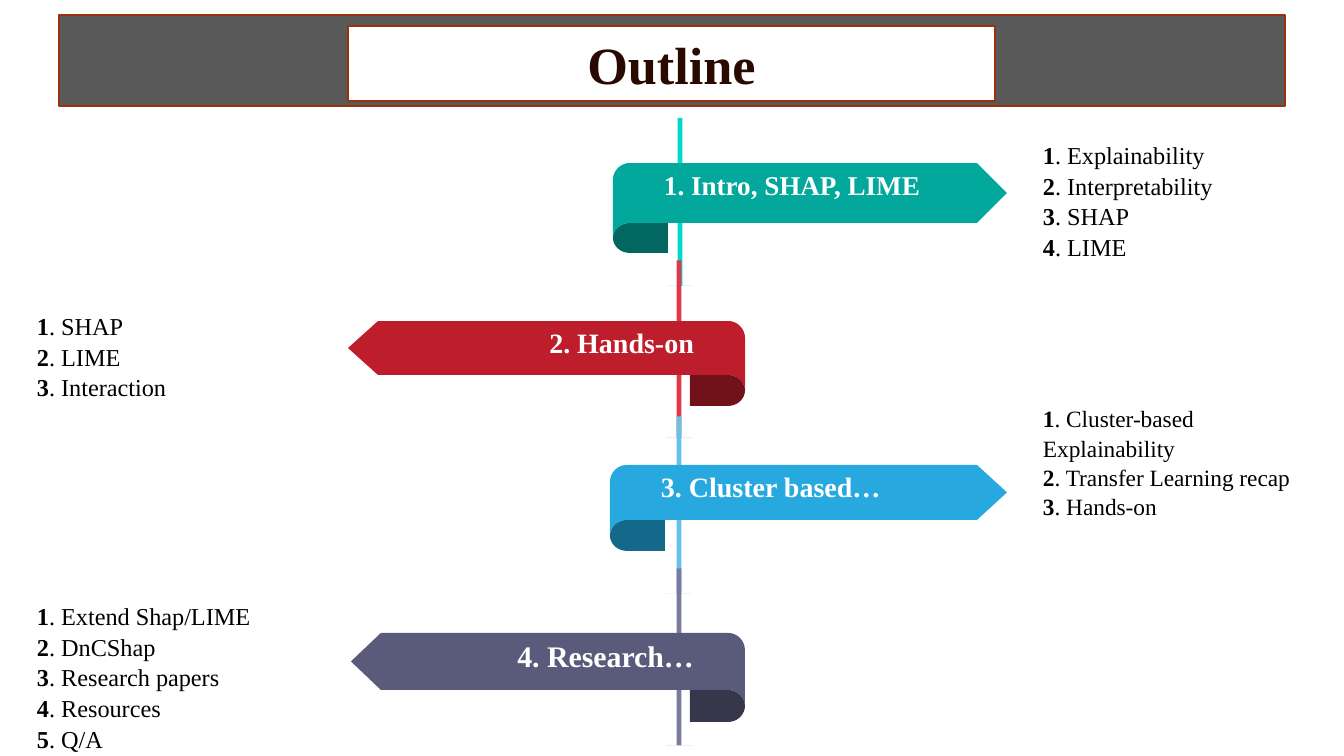
from math import cos, radians, sin

from pptx import Presentation
from pptx.dml.color import RGBColor
from pptx.enum.shapes import MSO_SHAPE
from pptx.enum.text import MSO_ANCHOR, MSO_AUTO_SIZE, PP_ALIGN
from pptx.util import Pt

PX = 914400 / 134.4
FONT = "Times New Roman"
WHITE = RGBColor(0xFF, 0xFF, 0xFF)
BLACK = RGBColor(0, 0, 0)
GREY = RGBColor(0x59, 0x59, 0x59)
RUST = RGBColor(0x9B, 0x32, 0x0E)
BROWN = RGBColor(0x2A, 0x0A, 0x00)
TEAL = [RGBColor.from_string(c) for c in ("01D9CA", "01A89B", "016760")]
RED = [RGBColor.from_string(c) for c in ("E03848", "BE1D2C", "71111A")]
BLUE = [RGBColor.from_string(c) for c in ("65C3E9", "27A9E0", "14688A")]
SLATE = [RGBColor.from_string(c) for c in ("7A7A9E", "5A5A7B", "37374B")]

TITLE = "Outline"
# ribbon: folded edge x, tip x, top, band bottom, fold bottom
# spine: centre x, centre y, length; notes: left, top, height, font size
PARTS = [
    dict(label="1. Intro, SHAP, LIME", size=14.5, hues=TEAL,
         ribbon=(613, 1007, 163, 223, 253), spine=(680, 202, 168),
         notes=(1030, 126, 145, 13),
         items=["Explainability", "Interpretability", "SHAP", "LIME"]),
    dict(label="2. Hands-on", size=15, hues=RED,
         ribbon=(745, 348, 321, 375, 406), spine=(679, 349, 177),
         notes=(24, 297, 115, 13),
         items=["SHAP", "LIME", "Interaction"]),
    dict(label="3. Cluster based…", size=15, hues=BLUE,
         ribbon=(610, 1007, 465, 520, 551), spine=(679, 505, 177),
         notes=(1030, 390, 168, 12.5),
         items=["Cluster-based Explainability", "Transfer Learning recap",
                "Hands-on"]),
    dict(label="4. Research…", size=16, hues=SLATE,
         ribbon=(745, 351, 633, 690, 722), spine=(679, 657, 177),
         notes=(24, 587, 174, 13),
         items=["Extend Shap/LIME", "DnCShap", "Research papers",
                "Resources", "Q/A"]),
]
HEAD, FOLD, ROUND = 30, 55, 17
THICK, NOTE_W = 26, 314


def px(*nums):
    return [round(n * PX) for n in nums]


def paint(shape, fill, line=None):
    shape.shadow.inherit = False
    shape.fill.solid()
    shape.fill.fore_color.rgb = fill
    if line is None:
        shape.line.fill.background()
    else:
        shape.line.color.rgb = line
        shape.line.width = Pt(1)


def write(shape, paras, size, color, align=PP_ALIGN.LEFT,
          anchor=MSO_ANCHOR.TOP, pad=(13, 13, 13, 13), space=1.0):
    """Fill a shape with paragraphs, each a list of (text, bold) runs."""
    frame = shape.text_frame
    frame.word_wrap = True
    frame.auto_size = MSO_AUTO_SIZE.NONE
    frame.vertical_anchor = anchor
    (frame.margin_left, frame.margin_top,
     frame.margin_right, frame.margin_bottom) = px(*pad)
    for i, runs in enumerate(paras):
        para = frame.add_paragraph() if i else frame.paragraphs[0]
        para.alignment = align
        para.line_spacing = space
        for text, bold in runs:
            run = para.add_run()
            run.text = text
            font = run.font
            font.name, font.size, font.bold = FONT, Pt(size), bold
            font.color.rgb = color


def arc(x, y, high, start, end):
    """Points on an ellipse, angles in degrees, counter-clockwise from east."""
    return [(x + ROUND * cos(radians(a)), y - high * sin(radians(a)))
            for a in range(start, end, 10 if end > start else -10)]


def outline(shapes, edge, way, points, fill):
    """Draw a closed outline, measured from the folded edge towards the tip."""
    spots = [px(edge + way * x, y) for x, y in points]
    pen = shapes.build_freeform(*spots[0])
    pen.add_line_segments(spots[1:], close=True)
    shape = pen.convert_to_shape()
    paint(shape, fill)
    return shape


def draw(shapes, part):
    light, main, dark = part["hues"]
    x, y, long = part["spine"]
    spine = shapes.add_shape(MSO_SHAPE.NOTCHED_RIGHT_ARROW,
                             *px(x - long / 2, y - THICK / 2, long, THICK))
    spine.rotation = 90
    spine.adjustments[0], spine.adjustments[1] = 0.183, 0
    paint(spine, light)

    edge, tip, top, base, low = part["ribbon"]
    way = 1 if tip > edge else -1
    wide, half = abs(tip - edge), (low - base) / 2
    mid = base + half
    outline(shapes, edge, way,
            [(FOLD, base), (FOLD, low)] + arc(ROUND, mid, half, 270, 80), dark)
    band = outline(
        shapes, edge, way,
        [(wide - HEAD, top), (wide, (top + base) / 2), (wide - HEAD, base)]
        + arc(ROUND, mid, half, 90, 190)
        + arc(ROUND, top + ROUND, ROUND, 180, 80), main)
    right = way > 0
    write(band, [[(part["label"], True)]], part["size"], WHITE,
          align=PP_ALIGN.LEFT if right else PP_ALIGN.RIGHT,
          pad=(51, 5, 30, 5) if right else (30, 5, 51, 5))


def note(shapes, part):
    left, top, high, size = part["notes"]
    box = shapes.add_textbox(*px(left, top, NOTE_W, high))
    paras = [[(str(n), True), (f". {item}", False)]
             for n, item in enumerate(part["items"], 1)]
    write(box, paras, size, BLACK, space=1.05)


def main():
    deck = Presentation()
    deck.slide_width, deck.slide_height = px(1344, 756)
    slide = deck.slides.add_slide(deck.slide_layouts[5])
    shapes = slide.shapes
    for part in PARTS:
        draw(shapes, part)
    for part in PARTS:
        note(shapes, part)

    bar = shapes.add_shape(MSO_SHAPE.RECTANGLE, *px(59, 15, 1226, 91))
    paint(bar, GREY, RUST)
    title = shapes.title
    title.left, title.top, title.width, title.height = px(348, 26, 647, 75)
    paint(title, WHITE, RUST)
    write(title, [[(TITLE, True)]], 28, BROWN, align=PP_ALIGN.CENTER,
          anchor=MSO_ANCHOR.MIDDLE, pad=(9, 5, 9, 5))
    bar.element.addnext(title.element)  # bring the title in front of its bar
    deck.save("out.pptx")


if __name__ == "__main__":
    main()
